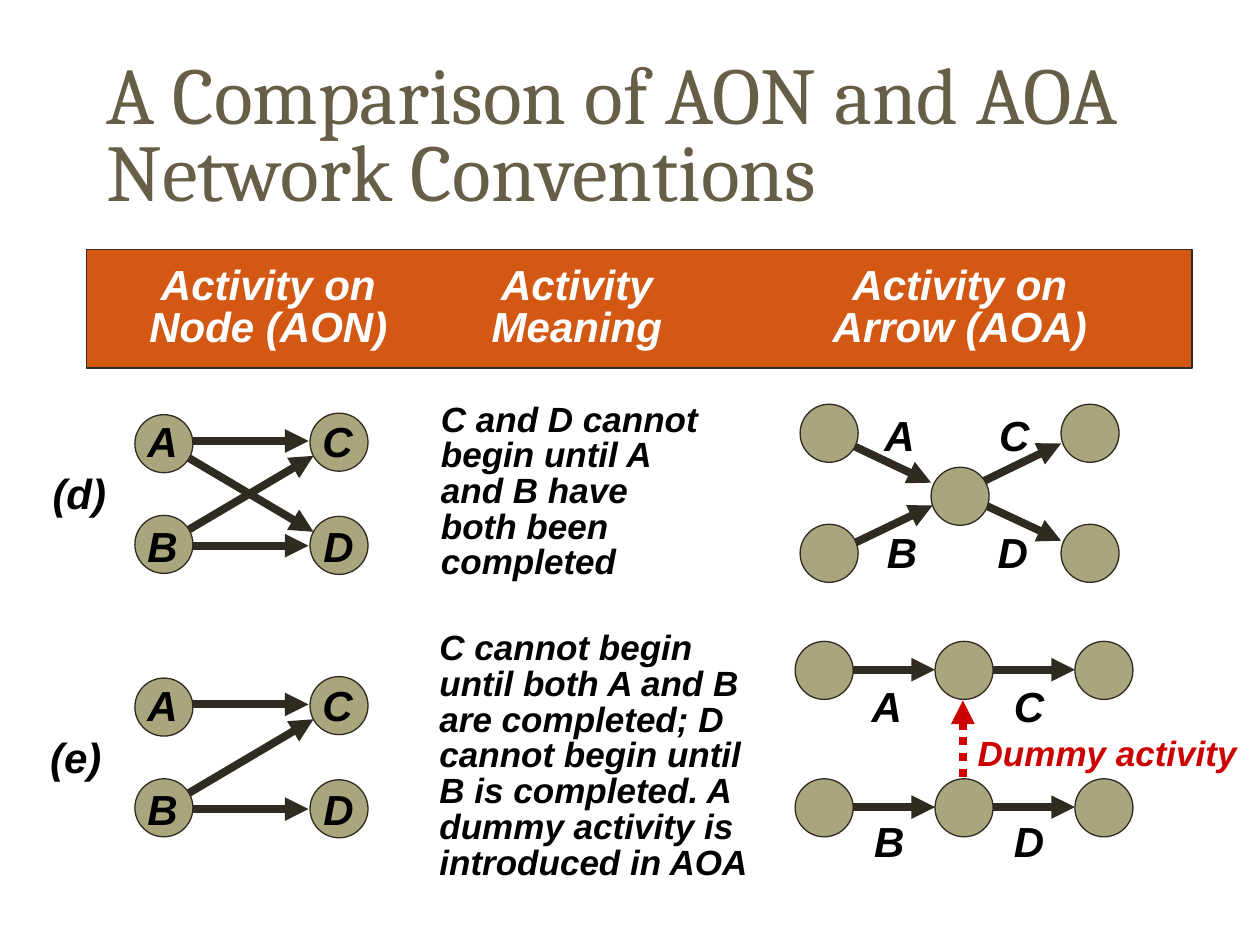
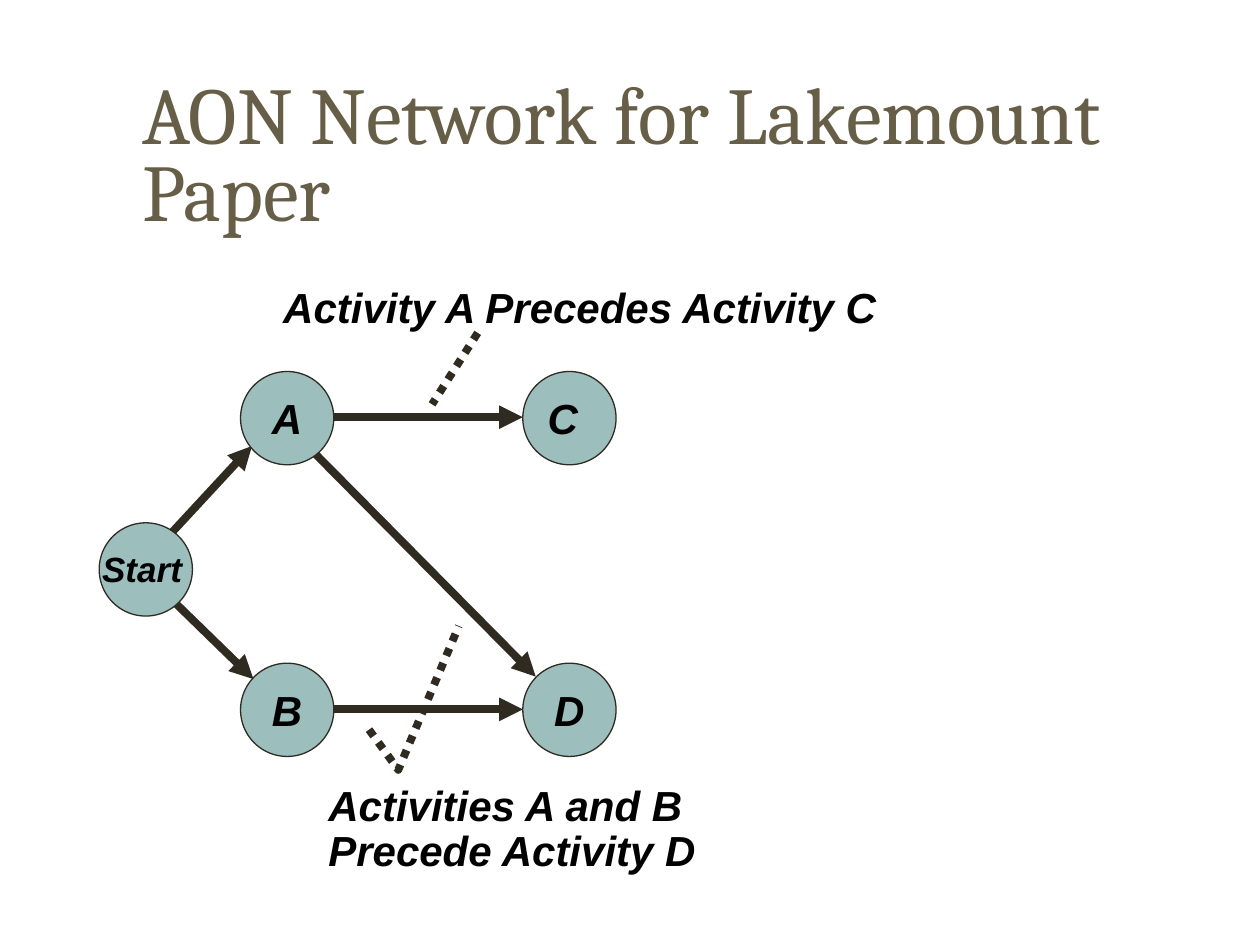
from lxml import etree
from pptx import Presentation, util as u
from pptx.dml.color import RGBColor
from pptx.enum import dml, shapes, text
from pptx.oxml.ns import qn

COLORS = {"title": "675E47", "band": "D25814", "line": "2F2B20", "olive": "A9A57C",
          "teal": "9CBEBD", "red": "CC0000", "black": "000000", "white": "FFFFFF"}

TITLES = [("A Comparison of AON and AOA Network Conventions", (1.9, 1.12, 21.59, 3.4)),
          ("AON Network for Lakemount Paper", (2.62, 1.27, 20.17, 3.91))]

HEADER_BOX = (1.75, 5.03, 22.28, 2.39)
HEADER_TABS = (3.0, 9.22, 16.94)
HEADER_ROWS = [("Activity on", "Activity", "Activity on"),
               ("Node (AON)", "Meaning", "Arrow (AOA)")]

MEANINGS = [
    ("C and D cannot begin until A and B have both been completed",
     (8.64, 8.01, 5.87, 3.86)),
    ("C cannot begin until both A and B are completed; D cannot begin until B is "
     "completed. A dummy activity is introduced in AOA", (8.61, 12.62, 6.83, 5.31))]
ROW_MARKS = [("(d)", (0.81, 9.3)), ("(e)", (0.76, 14.63))]
MARK = (1.7, 1.27)

AON_PITCH = 5.31
AON_CROSS = [(3.48, 9.04, 6.32, 10.72)]
AON = {
    "arrows": [(3.48, 10.87, 6.32, 9.19), (3.68, 8.89, 6.22, 8.89),
               (3.73, 11.0, 6.22, 11.0)],
    "nodes": [(2.72, 8.36), (2.72, 10.39), (6.25, 8.33), (6.25, 10.41)],
    "labels": {"A": (2.72, 8.26), "B": (2.72, 10.36),
               "C": (6.25, 8.26), "D": (6.27, 10.36)}}
AOA_MERGE = {
    "arrows": [(19.53, 10.03, 21.39, 10.9), (19.56, 9.83, 21.39, 8.94),
               (16.89, 8.84, 18.77, 9.73), (16.97, 11.07, 18.8, 10.19)],
    "nodes": [(18.77, 9.42)] + [(x, y) for x in (16.13, 21.39) for y in (8.15, 10.57)],
    "labels": {"A": (17.58, 8.13), "B": (17.63, 10.49),
               "C": (19.89, 8.13), "D": (19.86, 10.49)}}
CHAIN_X = (16.03, 18.85, 21.67)
CHAIN_Y = (12.93, 15.7)
AOA_CHAINS = {
    "arrows": [(a + 1, y + 0.57, b, y + 0.57)
               for y in CHAIN_Y for a, b in zip(CHAIN_X, CHAIN_X[1:])],
    "nodes": [(x, y) for y in CHAIN_Y for x in CHAIN_X],
    "labels": {"A": (17.32, 13.59), "B": (17.37, 16.31),
               "C": (20.19, 13.59), "D": (20.19, 16.31)}}
DUMMY_ARROW = (19.41, 15.98, 19.41, 14.12)
DUMMY_LABEL = ("Dummy activity", (19.46, 14.63, 5.74, 1.12))

PAPER = {
    "arrows": [(6.32, 8.41, 10.54, 8.41), (6.1, 8.89, 10.8, 13.64),
               (6.3, 14.3, 10.54, 14.3), (3.23, 11.86, 5.11, 13.69),
               (3.2, 11.02, 5.08, 8.99)],
    "nodes": [(x, y) for x in (4.85, 10.54) for y in (7.49, 13.37)] + [(2.0, 10.54)],
    "labels": {"A": (5.23, 7.78), "B": (5.23, 13.67),
               "C": (10.79, 7.78), "D": (10.92, 13.67)}}
START_LABEL = ("Start", (1.81, 10.91, 2.64, 1.12))
NOTE_C = ("Activity A Precedes Activity C", (5.46, 5.55, 12.55, 1.27))
NOTE_D = ("Activities A and B Precede Activity D", (6.37, 15.7, 9.07, 2.08))
POINTER_C = (9.63, 6.71, 8.71, 8.15)
POINTER_D = [(7.44, 14.71), (8.03, 15.52), (9.25, 12.62)]

LETTER = (1.12, 1.27)
SMALL, LARGE = 1.17, 1.88


def rgb(name):
    return RGBColor.from_string(COLORS[name])


def cm(values):
    return [u.Cm(v) for v in values]


def add_run(p, words, size, color="black", font="Arial", bold=True):
    r = p.add_run()
    r.text = words
    r.font.size = u.Pt(size)
    r.font.name = font
    r.font.bold = r.font.italic = bold
    r.font.color.rgb = rgb(color)


def add_text(s, words, box, size=24, color="black", spacing=None, wrap=False):
    tf = s.shapes.add_textbox(*cm(box)).text_frame
    tf.word_wrap = wrap
    p = tf.paragraphs[0]
    p.line_spacing = spacing
    add_run(p, words, size, color)


def add_title(s, words, box):
    tf = s.shapes.add_textbox(*cm(box)).text_frame
    tf.word_wrap = True
    tf.vertical_anchor = text.MSO_ANCHOR.MIDDLE
    p = tf.paragraphs[0]
    p.line_spacing = 0.8
    add_run(p, words, 46, "title", "Cambria", False)


def style_line(ln, color="line", width=4.5, dotted=False):
    ln.color.rgb = rgb(color)
    ln.width = u.Pt(width)
    if dotted:
        ln.dash_style = dml.MSO_LINE.ROUND_DOT


def add_line(s, ends, color="line", dotted=False, arrow=True):
    sp = s.shapes.add_connector(shapes.MSO_CONNECTOR.STRAIGHT, *cm(ends))
    style_line(sp.line, color, dotted=dotted)
    props = sp._element.spPr
    if arrow:
        etree.SubElement(props.find(qn("a:ln")), qn("a:tailEnd"), type="triangle")
    etree.SubElement(props, qn("a:effectLst"))


def add_filled(s, kind, box, fill):
    sp = s.shapes.add_shape(kind, *cm(box))
    sp.shadow.inherit = False
    sp.fill.solid()
    sp.fill.fore_color.rgb = rgb(fill)
    style_line(sp.line, width=0.75)
    return sp


def add_network(s, net, size=SMALL, fill="olive", dy=0):
    for x1, y1, x2, y2 in net["arrows"]:
        add_line(s, (x1, y1 + dy, x2, y2 + dy))
    for x, y in net["nodes"]:
        add_filled(s, shapes.MSO_SHAPE.OVAL, (x, y + dy, size, size), fill)
    for letter, (x, y) in net["labels"].items():
        add_text(s, letter, (x, y + dy, *LETTER))


def add_header(s):
    tf = add_filled(s, shapes.MSO_SHAPE.RECTANGLE, HEADER_BOX, "band").text_frame
    tf.margin_left = tf.margin_right = u.Cm(0.66)
    tf.margin_top = tf.margin_bottom = u.Cm(0.33)
    tf.vertical_anchor = text.MSO_ANCHOR.TOP
    for i, row in enumerate(HEADER_ROWS):
        p = tf.add_paragraph() if i else tf.paragraphs[0]
        p.alignment = text.PP_ALIGN.LEFT
        p.line_spacing = 0.85
        tabs = etree.SubElement(p._p.get_or_add_pPr(), qn("a:tabLst"))
        for pos in HEADER_TABS:
            etree.SubElement(tabs, qn("a:tab"), pos=str(u.Cm(pos)), algn="ctr")
        for cell in row:
            add_run(p, "\t" + cell, 24, "white")


def build_comparison(s):
    add_header(s)
    for words, box in MEANINGS:
        add_text(s, words, box, 20, spacing=0.85, wrap=True)
    for mark, at in ROW_MARKS:
        add_text(s, mark, (*at, *MARK))
    add_network(s, {**AON, "arrows": AON_CROSS + AON["arrows"]})
    add_network(s, AON, dy=AON_PITCH)
    add_network(s, AOA_MERGE)
    add_line(s, DUMMY_ARROW, "red", dotted=True)
    add_network(s, AOA_CHAINS)
    add_text(s, *DUMMY_LABEL, 20, "red")


def build_paper(s):
    add_network(s, PAPER, LARGE, "teal")
    add_text(s, *START_LABEL, 20)
    add_text(s, *NOTE_C)
    add_line(s, POINTER_C, dotted=True, arrow=False)
    add_text(s, *NOTE_D, spacing=0.9, wrap=True)
    first, *rest = [cm(pt) for pt in POINTER_D]
    fb = s.shapes.build_freeform(*first)
    fb.add_line_segments(rest, close=False)
    sp = fb.convert_to_shape()
    sp.shadow.inherit = False
    sp.fill.background()
    style_line(sp.line, dotted=True)


def main():
    prs = Presentation()
    prs.slide_width, prs.slide_height = u.Cm(25.4), u.Cm(19.05)
    for title, build in zip(TITLES, (build_comparison, build_paper)):
        s = prs.slides.add_slide(prs.slide_layouts[6])
        add_title(s, *title)
        build(s)
    prs.save("out.pptx")


if __name__ == "__main__":
    main()
